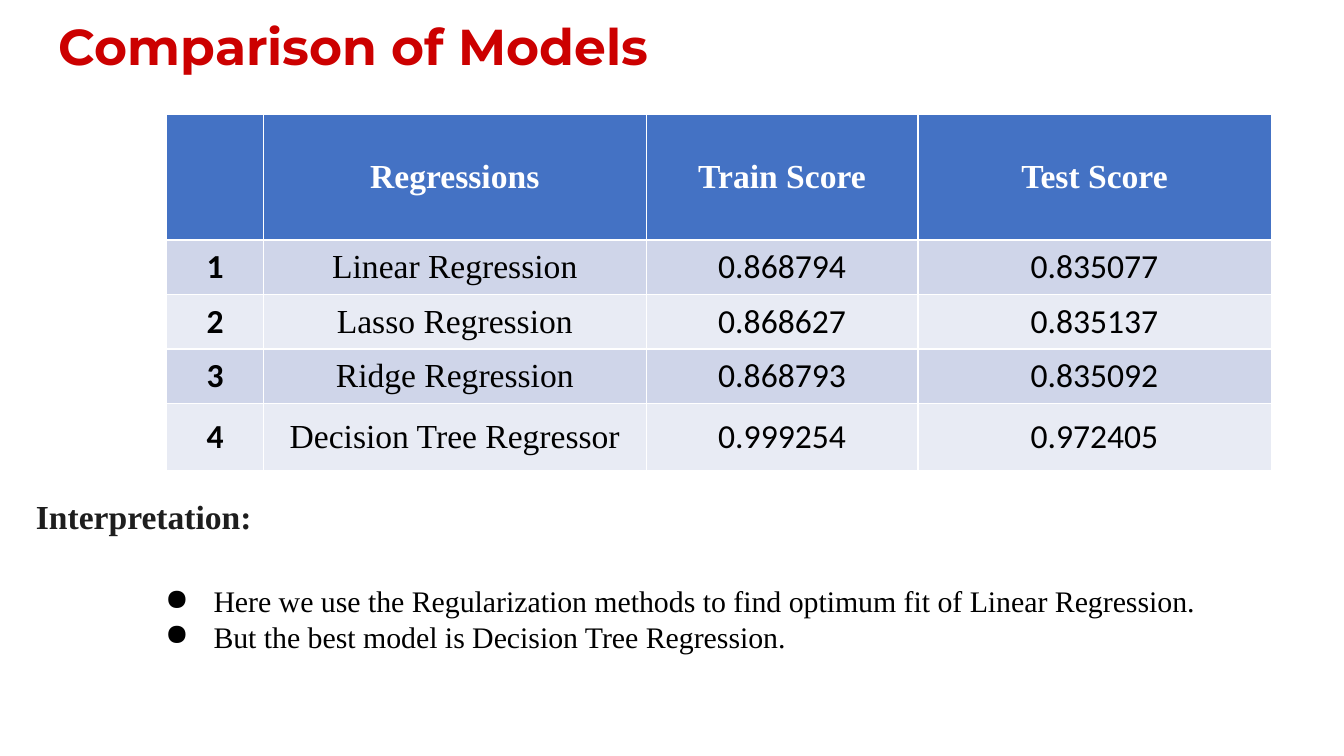
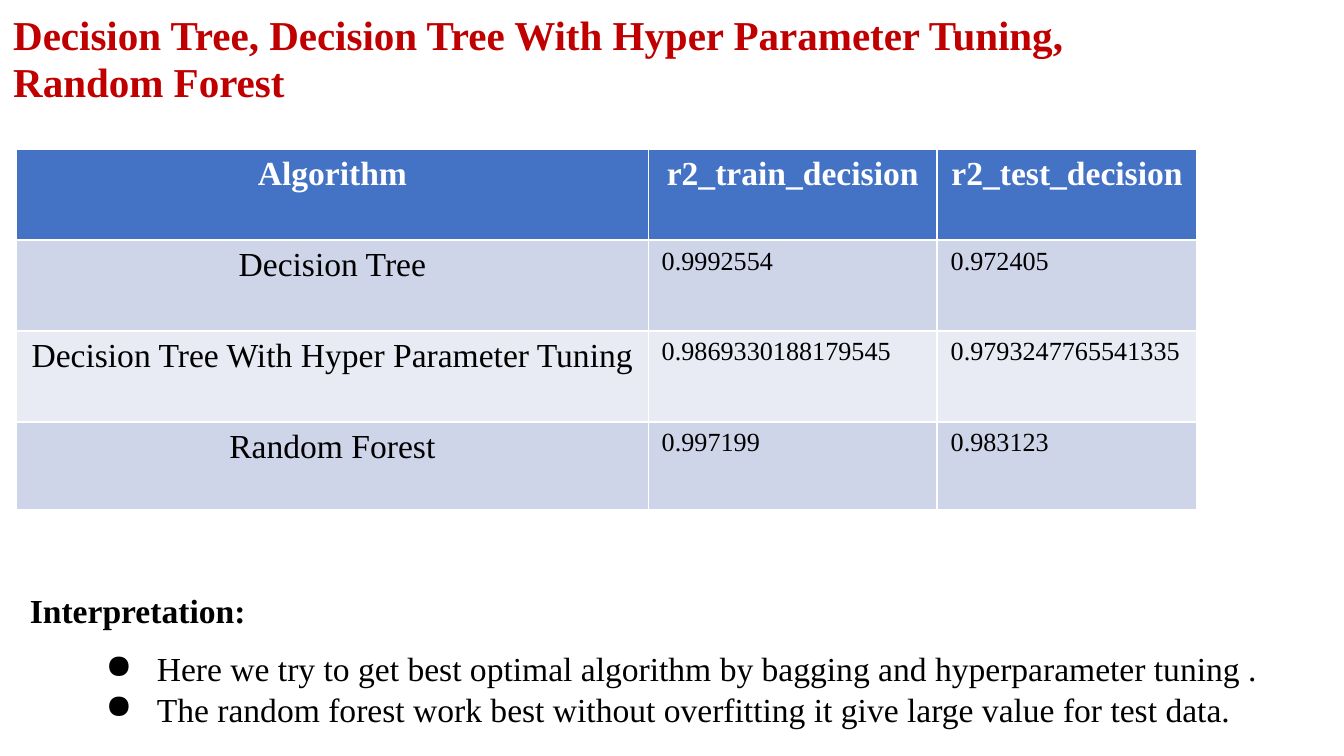
from lxml.etree import SubElement
from pptx import Presentation
from pptx.dml.color import RGBColor
from pptx.enum.text import MSO_ANCHOR, PP_ALIGN
from pptx.oxml.ns import qn
from pptx.util import Pt

# Shared look
SERIF, SANS, DISPLAY = "Times New Roman", "Calibri", "Montserrat"
BLACK, WHITE, HEADER = "000000", "FFFFFF", "4472C4"
BANDS = ("CFD5E9", "E8EBF4")
LEFT, CENTER = PP_ALIGN.LEFT, PP_ALIGN.CENTER

# Content: boxes are left, top, width, height;
# columns are width, font, size, bold, alignment of the body cells
SLIDES = [
    {
        "title": ["Comparison of Models"],
        "title_box": (24.5, 4.3, 413.3, 57.6),
        "title_style": (DISPLAY, 27, "CC0000"),
        "title_spacing": 0.9,
        "table_at": (89.3, 61.4),
        "anchor": MSO_ANCHOR.MIDDLE,
        "columns": [(51.8, SANS, 18, True, CENTER), (205.2, SERIF, 18, False, CENTER),
                    (145.4, SANS, 18, False, CENTER), (189.4, SANS, 18, False, CENTER)],
        "row_heights": [67.2, 29.2, 29.2, 29.2, 36],
        "rows": [
            ("", "Regressions", "Train Score", "Test Score"),
            ("1", "Linear Regression", "0.868794", "0.835077"),
            ("2", "Lasso Regression", "0.868627", "0.835137"),
            ("3", "Ridge Regression", "0.868793", "0.835092"),
            ("4", "Decision Tree Regressor", "0.999254", "0.972405"),
        ],
        "heading_box": (12.2, 262.1, 141.8, 28.8),
        "heading_color": "1E1E1E",
        "points_box": (71.3, 308.9, 591.8, 76.3),
        "points_style": (SERIF, 16, BLACK),
        "points_inset": 3.6,
        "hanging": 25.9,
        "points": [
            "Here we use the Regularization methods to find optimum fit of Linear Regression.",
            "But the best model is Decision Tree Regression.",
        ],
    },
    {
        "title": ["Decision Tree, Decision Tree With Hyper Parameter Tuning,", "Random Forest"],
        "title_box": (0, 0, 704.9, 66.2),
        "title_style": (SERIF, 22, "C00000"),
        "title_spacing": 0.95,
        "table_at": (8.9, 79.9),
        "anchor": MSO_ANCHOR.TOP,
        "columns": [(338.4, SERIF, 18, False, CENTER), (154.8, SERIF, 14, False, LEFT),
                    (139.2, SERIF, 14, False, LEFT)],
        "row_heights": [48.7, 48.7, 48.7, 47],
        "rows": [
            ("Algorithm", "r2_train_decision", "r2_test_decision"),
            ("Decision Tree", "0.9992554", "0.972405"),
            ("Decision Tree With Hyper Parameter Tuning", "0.9869330188179545",
             "0.9793247765541335"),
            ("Random Forest", "0.997199", "0.983123"),
        ],
        "heading_box": (8.9, 312.5, 133.2, 28.8),
        "heading_color": BLACK,
        "points_box": (41, 321.8, 751, 100.1),
        "points_style": (SERIF, 18, BLACK),
        "points_inset": 25.5,
        "hanging": 27.4,
        "points": [
            "Here we try to get best optimal algorithm by bagging and hyperparameter tuning .",
            "The random forest work best without overfitting it give large value for test data.",
        ],
    },
]


def color(value):
    return RGBColor.from_string(value)


def style(para, font, size, fill, bold=False, align=LEFT):
    para.alignment = align
    para.font.name, para.font.size, para.font.bold = font, Pt(size), bold
    para.font.color.rgb = color(fill)


def add_text(page, place, lines, look, bold=False, inset=3.6, spacing=None):
    box = page.shapes.add_textbox(*map(Pt, place))
    frame = box.text_frame
    frame.word_wrap = True
    frame.margin_left = frame.margin_right = Pt(7.2)
    frame.margin_top, frame.margin_bottom = Pt(inset), Pt(3.6)
    frame.text = "\n".join(lines)
    for para in frame.paragraphs:
        style(para, *look, bold=bold)
        para.line_spacing = spacing
    return frame


def add_bullets(frame, hanging):
    for para in frame.paragraphs:
        properties = para._p.get_or_add_pPr()
        properties.set("marL", str(Pt(36)))
        properties.set("indent", str(-Pt(hanging)))
        bullet_color = SubElement(properties, qn("a:buClr"))
        SubElement(bullet_color, qn("a:srgbClr"), val=BLACK)
        SubElement(properties, qn("a:buChar"), char="●")


def add_borders(cell):
    properties = cell._tc.get_or_add_tcPr()
    for side in ("lnL", "lnR", "lnT", "lnB"):
        line = SubElement(properties, qn(f"a:{side}"), w=str(Pt(0.96)))
        SubElement(SubElement(line, qn("a:solidFill")), qn("a:srgbClr"), val=WHITE)


def add_score_table(page, content):
    rows, columns, heights = content["rows"], content["columns"], content["row_heights"]
    width = sum(column[0] for column in columns)
    place = (*content["table_at"], width, sum(heights))
    table = page.shapes.add_table(len(rows), len(columns), *map(Pt, place)).table
    for index, column in enumerate(columns):
        table.columns[index].width = Pt(column[0])
    for row_index, row in enumerate(rows):
        table.rows[row_index].height = Pt(heights[row_index])
        for column_index, text in enumerate(row):
            cell = table.cell(row_index, column_index)
            cell.text = text
            cell.vertical_anchor = content["anchor"]
            add_borders(cell)
            cell.fill.solid()
            para = cell.text_frame.paragraphs[0]
            if row_index == 0:
                cell.fill.fore_color.rgb = color(HEADER)
                style(para, SERIF, 18, WHITE, True, CENTER)
            else:
                cell.fill.fore_color.rgb = color(BANDS[(row_index - 1) % 2])
                _, font, size, bold, align = columns[column_index]
                style(para, font, size, BLACK, bold, align)


def build_slide(deck, content):
    page = deck.slides.add_slide(deck.slide_layouts[6])
    # Title
    add_text(page, content["title_box"], content["title"], content["title_style"],
             bold=True, inset=7.2, spacing=content["title_spacing"])
    # Scores
    add_score_table(page, content)
    # Interpretation
    add_text(page, content["heading_box"], ["Interpretation:"],
             (SERIF, 18, content["heading_color"]), bold=True)
    points = add_text(page, content["points_box"], content["points"],
                      content["points_style"], inset=content["points_inset"])
    add_bullets(points, content["hanging"])


def main():
    deck = Presentation()
    deck.slide_width, deck.slide_height = Pt(720), Pt(405)
    for content in SLIDES:
        build_slide(deck, content)
    deck.save("out.pptx")


if __name__ == "__main__":
    main()
